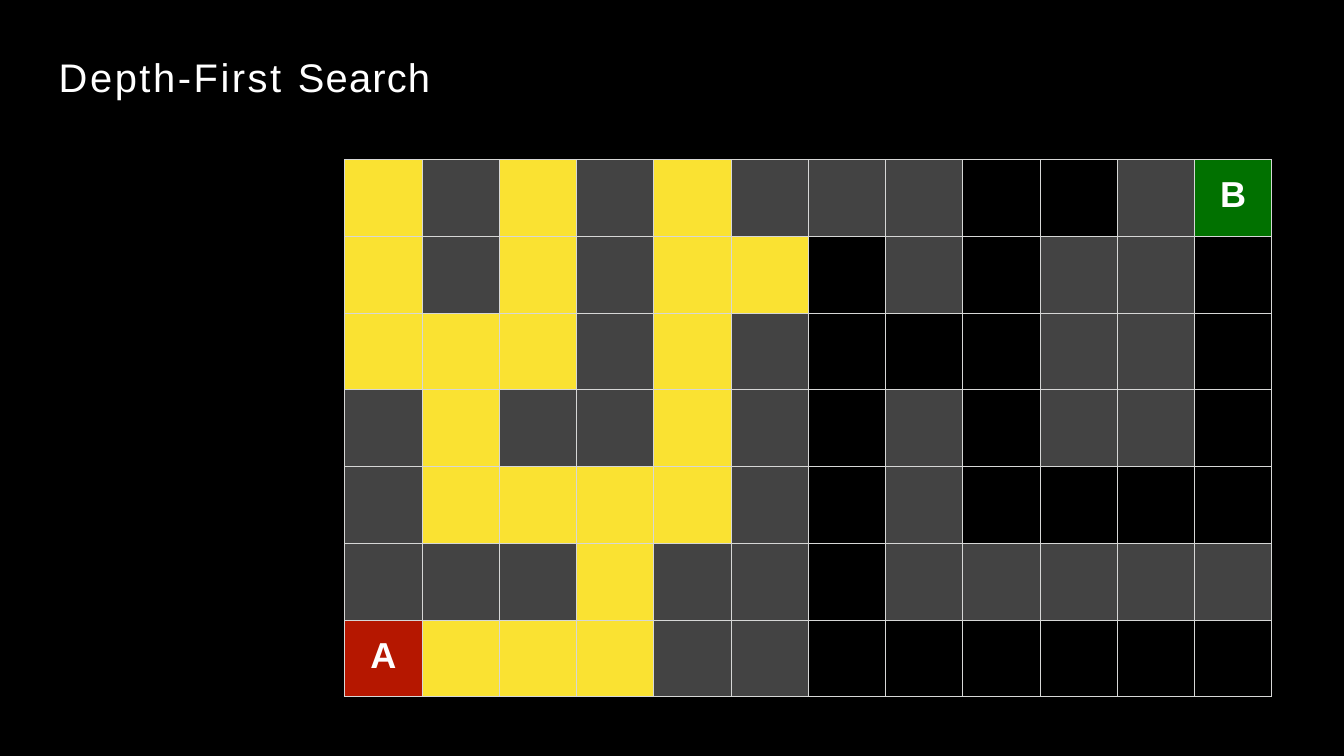
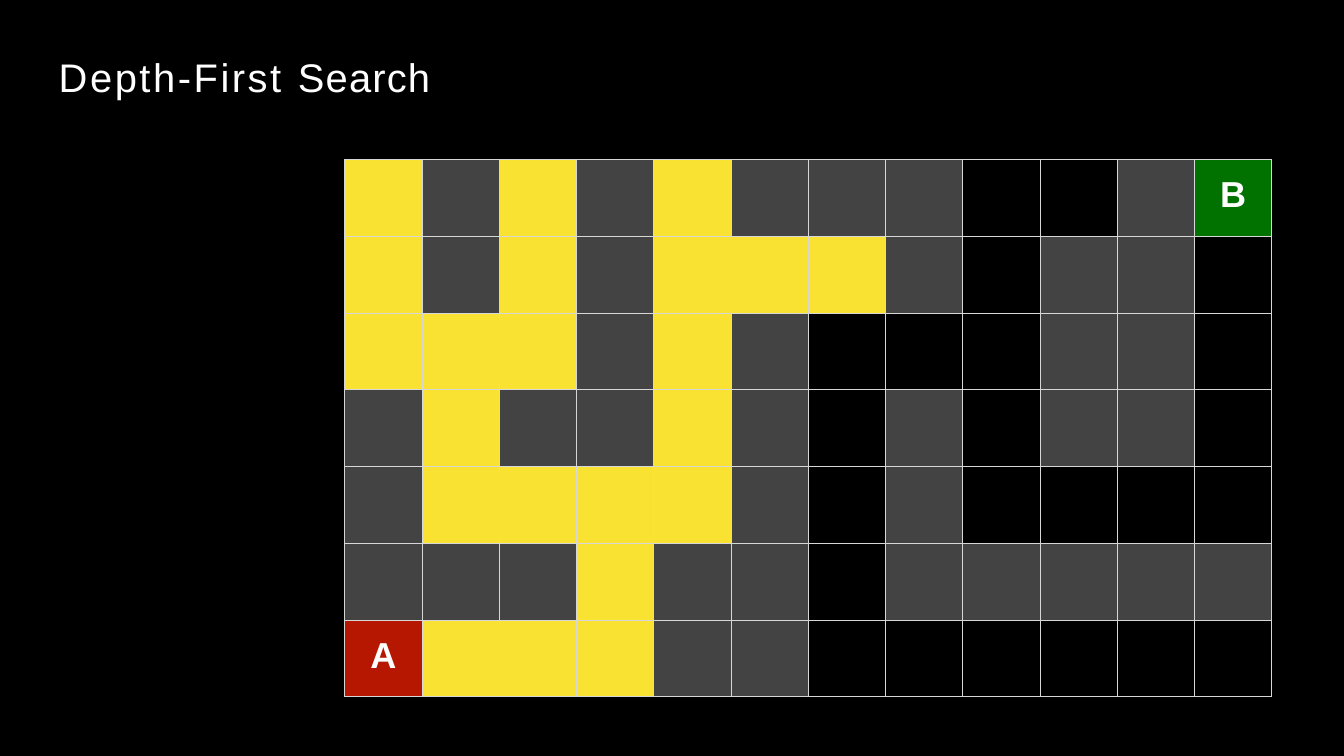
import pptx
import pptx.util
import pptx.dml.color
import pptx.enum.text
import pptx.oxml
import pptx.oxml.ns

Cm, Pt = pptx.util.Cm, pptx.util.Pt

TITLE = [("Depth-First ", 3), ("Search", 1.4)]
MAZE = [
    ".#.#.###..#B",
    ".#.#...#.##.",
    "...#.#...##.",
    "#.##.#.#.##.",
    "#....#.#....",
    "###.##.#####",
    "A...##......",
]
EXPLORED_COLS = 6
EXPLORED_BEYOND = [set(), {(1, 6)}]

FONT = "Arial"
COLORS = {
    "background": "000000",
    "text": "FFFFFF",
    "border": "D6D7D6",
    "explored": "FAE232",
    ".": "000000",
    "#": "434343",
    "A": "B51700",
    "B": "017100",
}
SLIDE_W, SLIDE_H = Cm(55.85), Cm(31.42)
MAZE_LEFT, MAZE_TOP = Cm(14.33), Cm(6.63)
CELL_W, CELL_H = Cm(3.21), Cm(3.19)


def rgb(name):
    return pptx.dml.color.RGBColor.from_string(COLORS[name])


def style_run(r, size, bold=False):
    r.font.name = FONT
    r.font.size = Pt(size)
    r.font.bold = bold
    r.font.color.rgb = rgb("text")


def add_title(s):
    tf = s.shapes.add_textbox(Cm(2.44), Cm(2.18), Cm(15.49), Cm(2.06)).text_frame
    tf.word_wrap = True
    tf.margin_left = tf.margin_top = tf.margin_right = tf.margin_bottom = 0
    p = tf.paragraphs[0]
    for text, spacing in TITLE:
        r = p.add_run()
        r.text = text
        style_run(r, 47)
        r._r.get_or_add_rPr().set("spc", str(round(spacing * 100)))


def add_borders(cell):
    tcPr = cell._tc.get_or_add_tcPr()
    for side in "LRTB":
        tcPr.append(pptx.oxml.parse_xml(
            f'<a:ln{side} {pptx.oxml.ns.nsdecls("a")} w="{Pt(1)}"><a:solidFill>'
            f'<a:srgbClr val="{COLORS["border"]}"/></a:solidFill></a:ln{side}>'
        ))


def add_label(cell, label):
    cell.margin_left = cell.margin_right = cell.margin_bottom = 0
    cell.margin_top = Cm(0.65)
    p = cell.text_frame.paragraphs[0]
    p.text = label
    p.alignment = pptx.enum.text.PP_ALIGN.CENTER
    style_run(p.runs[0], 42.5, bold=True)


def add_maze(s, beyond):
    rows, cols = len(MAZE), len(MAZE[0])
    table = s.shapes.add_table(
        rows, cols, MAZE_LEFT, MAZE_TOP, cols * CELL_W, rows * CELL_H
    ).table
    table.first_row = table.horz_banding = False
    for col in table.columns:
        col.width = CELL_W
    for i, line in enumerate(MAZE):
        table.rows[i].height = CELL_H
        for j, kind in enumerate(line):
            cell = table.cell(i, j)
            explored = kind == "." and (j < EXPLORED_COLS or (i, j) in beyond)
            add_borders(cell)
            cell.fill.solid()
            cell.fill.fore_color.rgb = rgb("explored" if explored else kind)
            if kind.isalpha():
                add_label(cell, kind)


def main():
    prs = pptx.Presentation()
    prs.slide_width, prs.slide_height = SLIDE_W, SLIDE_H
    fill = prs.slide_master.background.fill
    fill.solid()
    fill.fore_color.rgb = rgb("background")
    for beyond in EXPLORED_BEYOND:
        s = prs.slides.add_slide(prs.slide_layouts[6])
        add_maze(s, beyond)
        add_title(s)
    prs.save("out.pptx")


if __name__ == "__main__":
    main()
